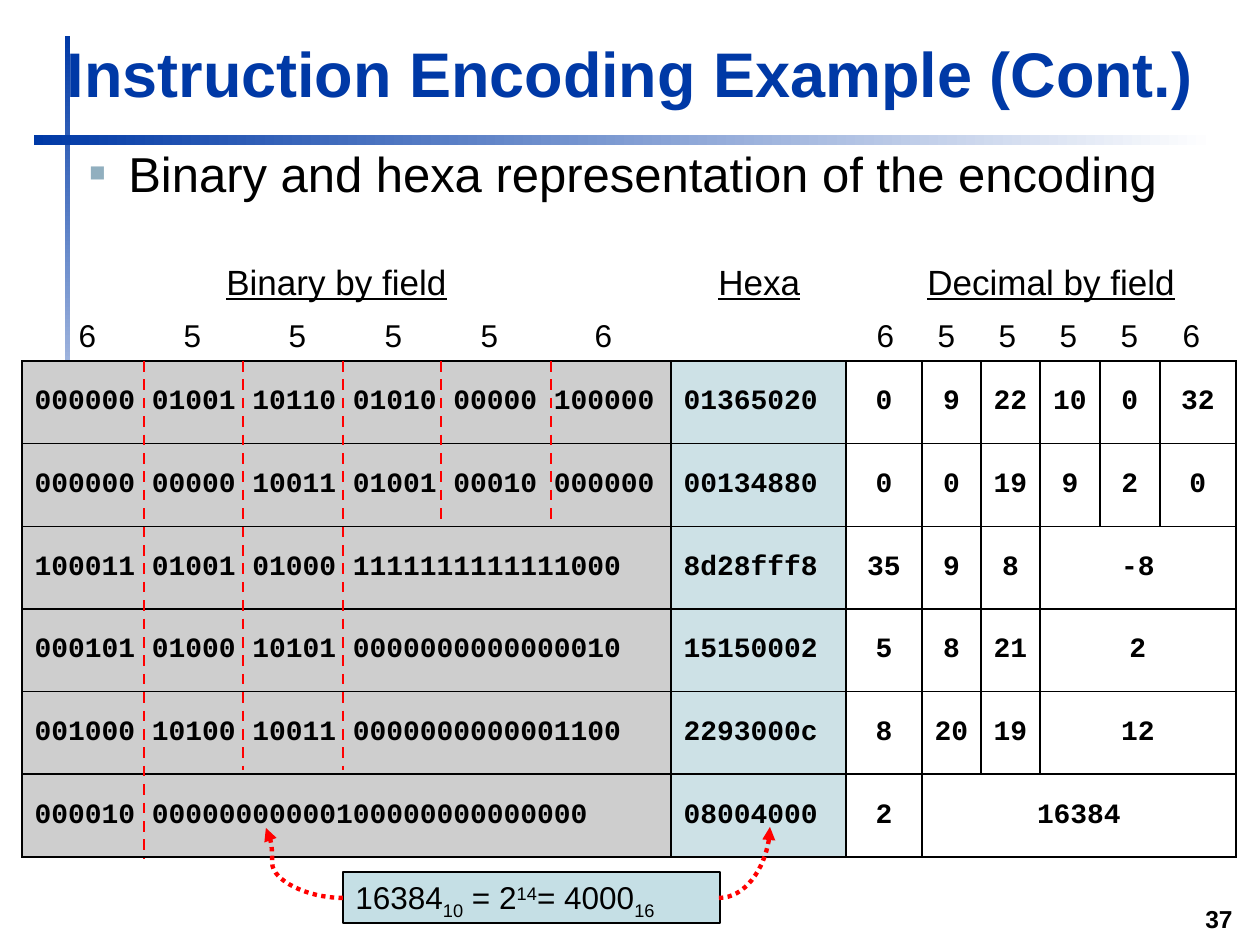
"""Build the slide on binary, hexa and decimal forms of encoded instructions."""
from lxml import etree
from pptx import Presentation
from pptx.dml.color import RGBColor
from pptx.enum.dml import MSO_LINE
from pptx.enum.shapes import MSO_CONNECTOR, MSO_SHAPE
from pptx.enum.text import MSO_ANCHOR, MSO_AUTO_SIZE, PP_ALIGN
from pptx.oxml import parse_xml
from pptx.oxml.ns import nsdecls, qn
from pptx.util import Pt

RECT = MSO_SHAPE.RECTANGLE
LINE, CURVE = MSO_CONNECTOR.STRAIGHT, MSO_CONNECTOR.CURVE
DASH, DOT = MSO_LINE.DASH, MSO_LINE.ROUND_DOT
TOP, MID, LOW = MSO_ANCHOR.TOP, MSO_ANCHOR.MIDDLE, MSO_ANCHOR.BOTTOM
LEFT, MIDDLE, RIGHT = PP_ALIGN.LEFT, PP_ALIGN.CENTER, PP_ALIGN.RIGHT
SCALE = 914400 / 126
INSET = 13
BLUE, BLACK, RED, WHITE = "0039A6", "000000", "FF0000", "FFFFFF"

TITLE = "Instruction Encoding Example (Cont.)"
POINT = "Binary and hexa representation of the encoding"
BARS = [((65, 36, 5, 525), 270), ((34, 135, 1181, 10), 0)]
ROWS = [
    ("000000 01001 10110 01010 00000 100000", "01365020", "0", "9", "22", "10", "0", "32"),
    ("000000 00000 10011 01001 00010 000000", "00134880", "0", "0", "19", "9", "2", "0"),
    ("100011 01001 01000 1111111111111000", "8d28fff8", "35", "9", "8", "-8"),
    ("000101 01000 10101 0000000000000010", "15150002", "5", "8", "21", "2"),
    ("001000 10100 10011 0000000000001100", "2293000c", "8", "20", "19", "12"),
    ("000010 00000000000100000000000000", "08004000", "2", "16384"),
]
COLS = [649, 175, 76, 59, 59, 60, 60, 76]
GRID = (22, 361, 1214, 496)
FILLS = ["CECECE", "CDE1E6"]
HEADS = [
    ((214, 254, 982, 55), 20, "l", [719, 928],
     [("Binary by field", {"line": True}), ("\t", {}), ("Hexa", {"line": True}),
      ("\t", {}), ("Decimal by field", {"line": True})]),
    ((769, 310, 464, 50), 18, "ctr", [886, 947, 1008, 1069, 1130, 1192],
     [("\t6\t5\t5\t5\t5\t6", {})]),
    ((15, 310, 622, 50), 18, "ctr", [88, 193, 298, 394, 490, 604],
     [("\t6\t5\t5\t5\t5\t6", {})]),
]
CUTS = [(144, 859), (243, 770), (343, 770), (441, 522), (551, 522)]
NOTE = [("16384", {}), ("10", {"base": -25}), (" = 2", {}), ("14", {"base": 30}),
        ("= 4000", {}), ("16", {"base": -25})]
ARCS = [((343, 898, 266, 828), "curvedConnector3", 91900),
        ((719, 898, 770, 827), "curvedConnector2", None)]


def px(num):
    return round(num * SCALE)


def spot(box):
    return [px(num) for num in box]


def color(code):
    return RGBColor.from_string(code)


def add_run(para, text, size, bold=False, hue=BLACK, face="Arial", line=False, base=0):
    run = para.add_run()
    run.text = text
    font = run.font
    font.name, font.size, font.bold = face, Pt(size), bold
    font.underline = line
    font.color.rgb = color(hue)
    if base:
        run._r.get_or_add_rPr().set("baseline", str(base * 1000))


def set_frame(frame, anchor=TOP):
    frame.word_wrap = True
    frame.auto_size = MSO_AUTO_SIZE.NONE
    frame.vertical_anchor = anchor
    return frame.paragraphs[0]


def add_text(slide, box, anchor=TOP):
    return set_frame(slide.shapes.add_textbox(*spot(box)).text_frame, anchor)


def add_rect(slide, box):
    shape = slide.shapes.add_shape(RECT, *spot(box))
    shape.shadow.inherit = False
    return shape


def add_bar(slide, box, angle):
    bar = add_rect(slide, box)
    bar.line.fill.background()
    bar.fill.gradient()
    bar.fill.gradient_angle = angle
    for stop, hue in zip(bar.fill.gradient_stops, (BLUE, WHITE)):
        stop.color.rgb = color(hue)


def add_line(slide, kind, ends, width, dash):
    line = slide.shapes.add_connector(kind, *spot(ends))
    line.line.color.rgb = color(RED)
    line.line.width = Pt(width)
    line.line.dash_style = dash
    props = line._element.spPr
    etree.SubElement(props, qn("a:effectLst"))
    return props


def add_arc(slide, ends, preset, bend):
    props = add_line(slide, CURVE, ends, 2.5, DOT)
    etree.SubElement(props.find(qn("a:ln")), qn("a:tailEnd"), type="triangle")
    geom = props.find(qn("a:prstGeom"))
    geom.set("prst", preset)
    if bend:
        guides = geom.find(qn("a:avLst"))
        if guides is None:
            guides = etree.SubElement(geom, qn("a:avLst"))
        etree.SubElement(guides, qn("a:gd"), name="adj1", fmla=f"val {bend}")


def add_point(slide):
    para = add_text(slide, (14, 137, 1169, 175))
    para.space_before = Pt(5.6)
    props = para._p.get_or_add_pPr()
    props.set("marL", str(px(102)))
    props.set("indent", str(px(-39)))
    for part in ('buClr {}><a:srgbClr val="91AFBF"/></a:buClr>',
                 'buSzPct {} val="55000"/>', 'buFont {} typeface="Arial"/>',
                 'buChar {} char="■"/>'):
        props.append(parse_xml("<a:" + part.format(nsdecls("a"))))
    add_run(para, POINT, 28)


def add_head(slide, box, size, align, tabs, runs):
    para = add_text(slide, box)
    stops = etree.SubElement(para._p.get_or_add_pPr(), qn("a:tabLst"))
    for tab in tabs:
        etree.SubElement(stops, qn("a:tab"), pos=str(px(tab - box[0] - INSET)), algn=align)
    for text, look in runs:
        add_run(para, text, size, **look)


def set_cell(cell, col):
    if col < len(FILLS):
        cell.fill.solid()
        cell.fill.fore_color.rgb = color(FILLS[col])
    else:
        cell.fill.background()
    cell.vertical_anchor = MID
    props = cell._tc.get_or_add_tcPr()
    for rank, side in enumerate("LRTB"):
        props.insert(rank, parse_xml(
            f'<a:ln{side} {nsdecls("a")} w="12700"><a:solidFill>'
            f'<a:srgbClr val="{BLACK}"/></a:solidFill></a:ln{side}>'))


def add_grid(slide):
    table = slide.shapes.add_table(len(ROWS), len(COLS), *spot(GRID)).table
    table.first_row = table.horz_banding = False
    for col, width in zip(table.columns, COLS):
        col.width = px(width)
    for row, texts in enumerate(ROWS):
        table.rows[row].height = px(GRID[3] / len(ROWS))
        for col in range(len(COLS)):
            set_cell(table.cell(row, col), col)
        for col, text in enumerate(texts):
            para = table.cell(row, col).text_frame.paragraphs[0]
            para.alignment = LEFT if col < len(FILLS) else MIDDLE
            add_run(para, text, 16, True, face="Courier New")
        if len(texts) < len(COLS):
            table.cell(row, len(texts) - 1).merge(table.cell(row, len(COLS) - 1))


def add_note(slide):
    note = add_rect(slide, (343, 872, 377, 51))
    note.fill.solid()
    note.fill.fore_color.rgb = color("C5DFE5")
    note.line.color.rgb = color(BLACK)
    note.line.width = Pt(0.75)
    para = set_frame(note.text_frame)
    para.alignment = LEFT
    for text, look in NOTE:
        add_run(para, text, 18, **look)


def main():
    deck = Presentation()
    deck.slide_width, deck.slide_height = px(1260), px(945)
    slide = deck.slides.add_slide(deck.slide_layouts[5])
    for box, angle in BARS:
        add_bar(slide, box, angle)
    title = slide.shapes.title
    title.left, title.top, title.width, title.height = spot((54, 29, 1166, 87))
    para = set_frame(title.text_frame, LOW)
    para.alignment = LEFT
    add_run(para, TITLE, 36, True, BLUE)
    add_point(slide)
    para = add_text(slide, (243, 891, 1002, 49), LOW)
    para.alignment = RIGHT
    add_run(para, "37", 14, True)
    add_grid(slide)
    for head in HEADS:
        add_head(slide, *head)
    for x, end in CUTS:
        add_line(slide, LINE, (x, GRID[1], x, end), 1.5, DASH)
    add_note(slide)
    for arc in ARCS:
        add_arc(slide, *arc)
    deck.save("out.pptx")


if __name__ == "__main__":
    main()
